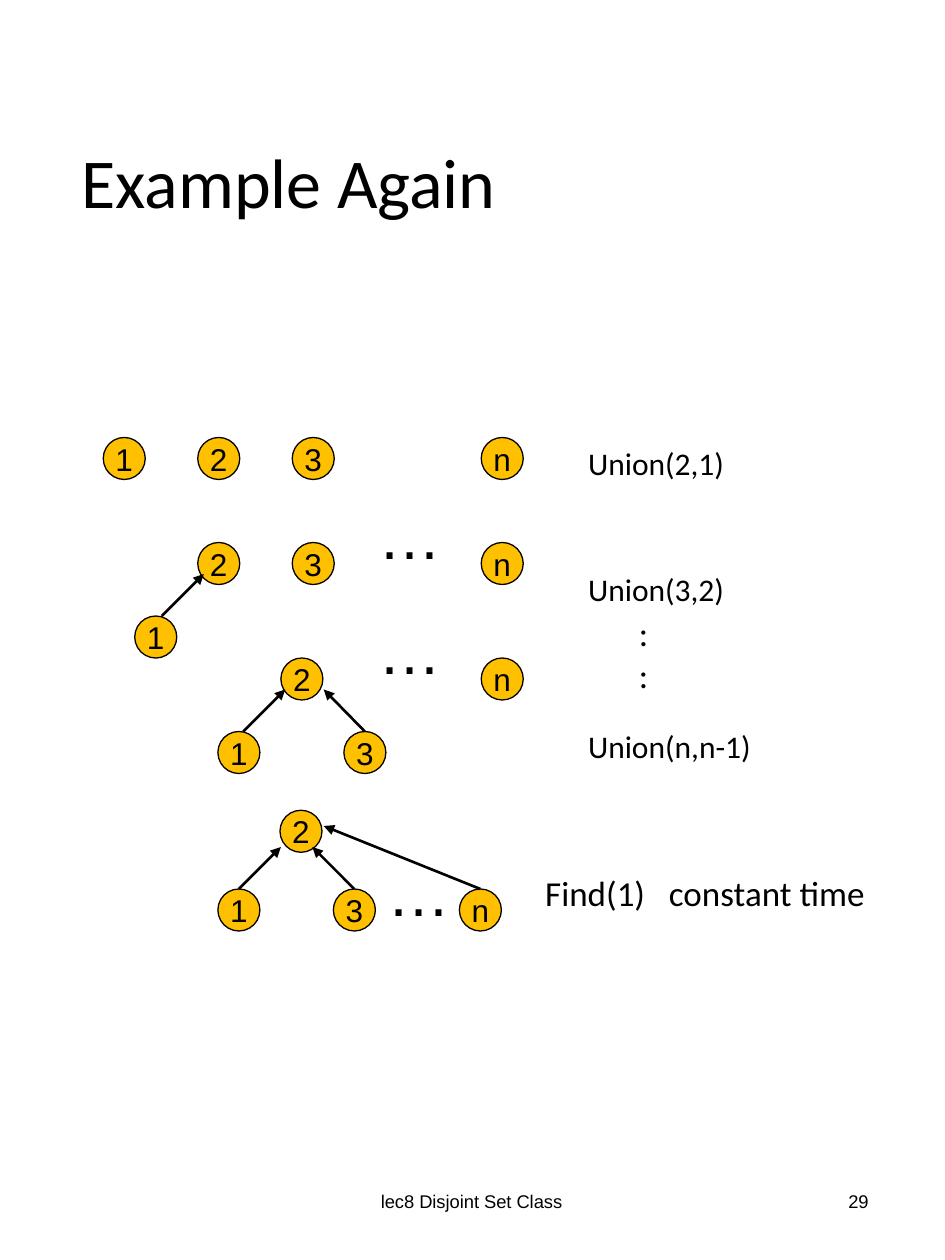
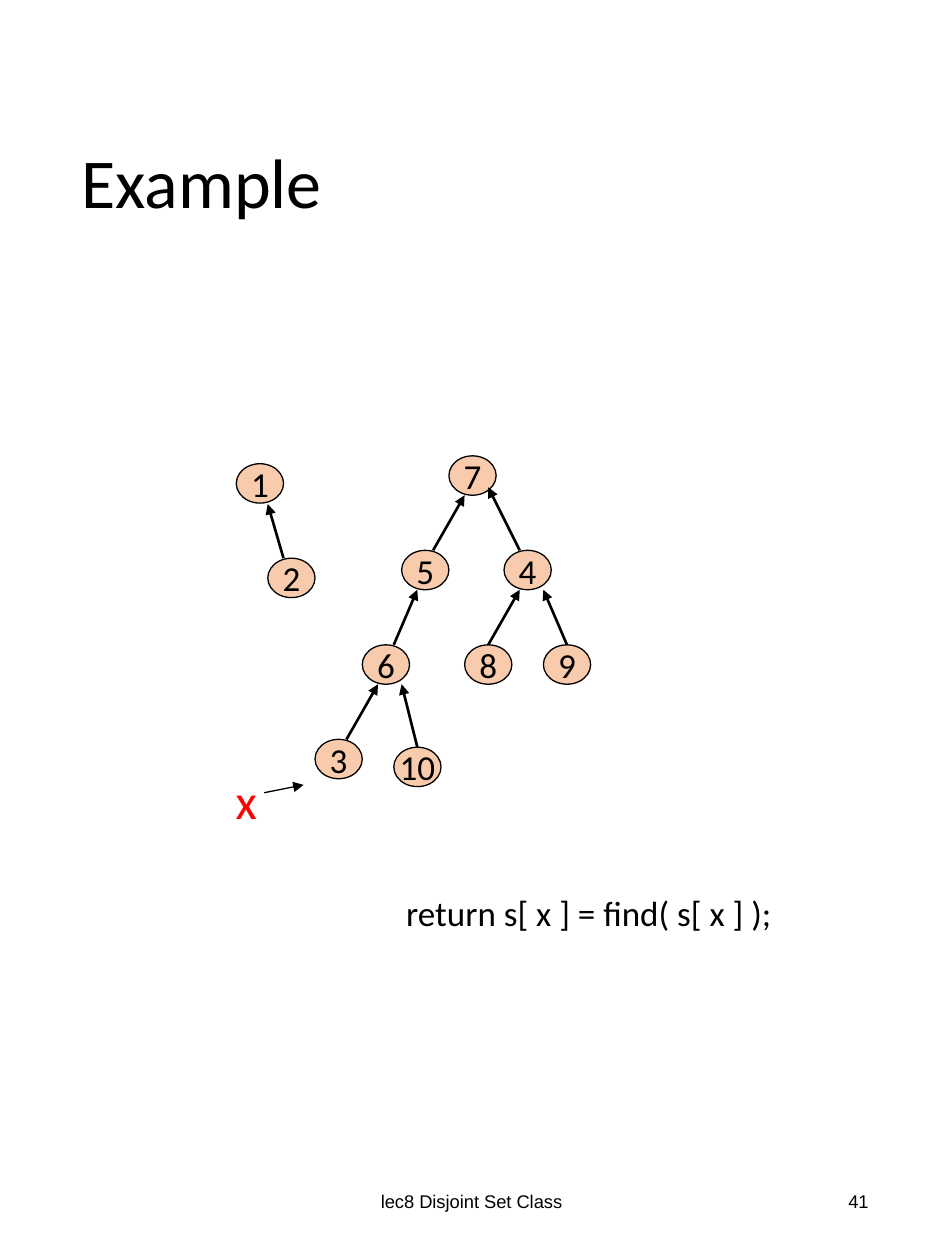
"""Build two slides of disjoint set trees."""
from dataclasses import dataclass
from typing import Any, NamedTuple, Optional

import pptx
import pptx.dml.color
import pptx.enum.shapes
import pptx.enum.text
import pptx.oxml.ns
import pptx.util
from lxml import etree

Pt = pptx.util.Pt
RGBColor = pptx.dml.color.RGBColor
ALIGN = pptx.enum.text.PP_ALIGN
ANCHOR = pptx.enum.text.MSO_ANCHOR
FIT = pptx.enum.text.MSO_AUTO_SIZE
qn = pptx.oxml.ns.qn

BLACK = RGBColor(0x00, 0x00, 0x00)
RED = RGBColor(0xFF, 0x00, 0x00)
GOLD = RGBColor(0xFF, 0xC0, 0x00)
PEACH = RGBColor(0xF8, 0xCB, 0xAD)
SANS = "Arial"
BODY = "Calibri"


@dataclass(frozen=True)
class Style:
    """Look of the nodes on one slide."""
    wide: float
    high: float
    fill: RGBColor
    font: str
    size: float


class Node(NamedTuple):
    """Labelled tree node at its top left corner."""
    text: str
    x: float
    y: float


class Edge(NamedTuple):
    """Arrow from a child to its parent."""
    x1: float
    y1: float
    x2: float
    y2: float
    weight: float = 1.5


class Label(NamedTuple):
    """Free text beside the trees."""
    text: str
    x: float
    y: float
    wide: float
    high: float
    size: float = 18
    font: str = BODY
    color: RGBColor = BLACK
    wrap: bool = False
    tab: Optional[float] = None


class Page(NamedTuple):
    """All that one slide shows."""
    title: str
    number: str
    style: Style
    nodes: list[Node]
    edges: list[Edge]
    labels: list[Label]


def write(shape: Any, text: str, *, size: float, font: str = BODY,
          color: RGBColor = BLACK, align: Any = ALIGN.LEFT,
          anchor: Any = ANCHOR.TOP, wrap: bool = True, grow: bool = False,
          lead: Optional[float] = None, tab: Optional[float] = None) -> None:
    """Put formatted text in a shape, one paragraph a line."""
    frame = shape.text_frame
    frame.word_wrap = wrap
    frame.vertical_anchor = anchor
    if grow:
        frame.auto_size = FIT.SHAPE_TO_FIT_TEXT
    frame.text = text
    for para in frame.paragraphs:
        para.alignment = align
        if lead:
            para.line_spacing = lead
        if tab:
            stops = etree.SubElement(para._p.get_or_add_pPr(), qn("a:tabLst"))
            etree.SubElement(stops, qn("a:tab"), pos=str(Pt(tab)), algn="l")
        for run in para.runs:
            run.font.size = Pt(size)
            run.font.name = font
            run.font.color.rgb = color


def add_box(slide: Any, x: float, y: float, wide: float, high: float) -> Any:
    """Add an empty text box."""
    return slide.shapes.add_textbox(Pt(x), Pt(y), Pt(wide), Pt(high))


def add_frame(slide: Any, page: Page) -> None:
    """Add the title, footer and page number."""
    write(add_box(slide, 178.5, 667.5, 182, 38), "lec8 Disjoint Set Class",
          size=10.5, font=SANS, align=ALIGN.CENTER, anchor=ANCHOR.MIDDLE)
    write(add_box(slide, 381.5, 667.5, 122, 38), page.number,
          size=10.5, font=SANS, align=ALIGN.RIGHT, anchor=ANCHOR.MIDDLE)
    write(add_box(slide, 39.5, 36.5, 466, 139), page.title,
          size=40, anchor=ANCHOR.MIDDLE, lead=0.9)


def add_node(slide: Any, node: Node, style: Style) -> Any:
    """Draw one tree node."""
    shape = slide.shapes.add_shape(
        pptx.enum.shapes.MSO_SHAPE.OVAL, Pt(node.x), Pt(node.y),
        Pt(style.wide), Pt(style.high))
    shape.shadow.inherit = False
    shape.fill.solid()
    shape.fill.fore_color.rgb = style.fill
    shape.line.color.rgb = BLACK
    shape.line.width = Pt(0.75)
    write(shape, node.text, size=style.size, font=style.font,
          align=ALIGN.CENTER, anchor=ANCHOR.MIDDLE, wrap=False)
    return shape


def add_edge(slide: Any, edge: Edge, nodes: list[Any]) -> None:
    """Draw an arrow, joined to a node when it starts at its top."""
    line = slide.shapes.add_connector(
        pptx.enum.shapes.MSO_CONNECTOR.STRAIGHT,
        Pt(edge.x1), Pt(edge.y1), Pt(edge.x2), Pt(edge.y2))
    line.line.color.rgb = BLACK
    line.line.width = Pt(edge.weight)
    etree.SubElement(line.line._get_or_add_ln(), qn("a:tailEnd"),
                     type="triangle")
    etree.SubElement(line._element.spPr, qn("a:effectLst"))
    for node in nodes:
        side = abs(node.left + node.width / 2 - Pt(edge.x1))
        if max(side, abs(node.top - Pt(edge.y1))) <= Pt(1):
            line.begin_connect(node, 0)


def add_label(slide: Any, label: Label) -> None:
    """Draw one free text."""
    box = add_box(slide, label.x, label.y, label.wide, label.high)
    write(box, label.text, size=label.size, font=label.font,
          color=label.color, wrap=label.wrap, grow=True, tab=label.tab)


def add_page(deck: Any, page: Page) -> None:
    """Add one whole slide."""
    slide = deck.slides.add_slide(deck.slide_layouts[6])
    add_frame(slide, page)
    nodes = [add_node(slide, node, page.style) for node in page.nodes]
    for edge in page.edges:
        add_edge(slide, edge, nodes)
    for label in page.labels:
        add_label(slide, label)


def make_row(names: str, y: float) -> list[Node]:
    """Place single nodes in the columns of the first rows."""
    return [Node(name, 59 + 54 * "123 n".index(name), y) for name in names]


def make_dots(x: float, y: float) -> Label:
    """Make the sign for left out nodes."""
    return Label("…", x, y, 50.5, 50.5, 36, SANS)


UNION = Page(
    "Example Again", "29", Style(24, 24, GOLD, SANS, 18),
    [*make_row("123n", 250), *make_row("23n", 310), *make_row("n", 376),
     Node("1", 77, 352),
     Node("1", 124.5, 418), Node("2", 160.5, 376), Node("3", 196.5, 418),
     Node("1", 124.5, 508), Node("2", 160, 463),
     Node("3", 190.5, 508), Node("n", 262.5, 508)],
    [Edge(92.5, 352, 116.5, 328),
     Edge(139, 418, 163, 394), Edge(208.5, 418, 185, 394),
     Edge(136.5, 508, 160.5, 484), Edge(202.5, 508, 178.5, 484),
     Edge(274.5, 508, 185, 472)],
    [Label("Union(2,1)", 329, 250, 107, 29),
     Label("Union(3,2)", 329, 322, 101, 29),
     Label("Union(n,n-1)", 329, 412, 117, 29),
     make_dots(209, 280), make_dots(209, 346), make_dots(214.5, 484),
     Label(":\n:", 358, 346, 21.5, 55.5, 20),
     Label("Find(1)\tconstant time", 304.5, 494.5, 230, 31.5, 20,
           wrap=True, tab=70.7)])

FIND = Page(
    "Example", "41", Style(27, 22.5, PEACH, BODY, 20),
    [Node("1", 135, 265), Node("2", 153, 319), Node("3", 180, 422.5),
     Node("4", 288, 314.5), Node("5", 229.5, 314.5), Node("6", 207, 368.5),
     Node("7", 256.5, 260.5), Node("8", 265.5, 368.5),
     Node("9", 310.5, 368.5), Node("10", 225, 427)],
    [Edge(162, 319, 153, 288), Edge(247.5, 314.5, 265.5, 283),
     Edge(297, 314.5, 279, 278.5), Edge(225, 368.5, 238.5, 337),
     Edge(198, 422.5, 216, 391), Edge(279, 368.5, 297, 337),
     Edge(324, 368.5, 310.5, 337), Edge(238.5, 427, 229.5, 391),
     Edge(151, 453, 173.5, 448.5, 0.75)],
    [Label("x", 127.5, 437, 24, 41, 28, color=RED, wrap=True),
     Label("return s[ x ] = find( s[ x ] );", 225, 506, 278.5, 31.5, 20)])


def main() -> None:
    """Build and save the deck."""
    deck = pptx.Presentation()
    deck.slide_width, deck.slide_height = Pt(540), Pt(720)
    for page in (UNION, FIND):
        add_page(deck, page)
    deck.save("out.pptx")


if __name__ == "__main__":
    main()
